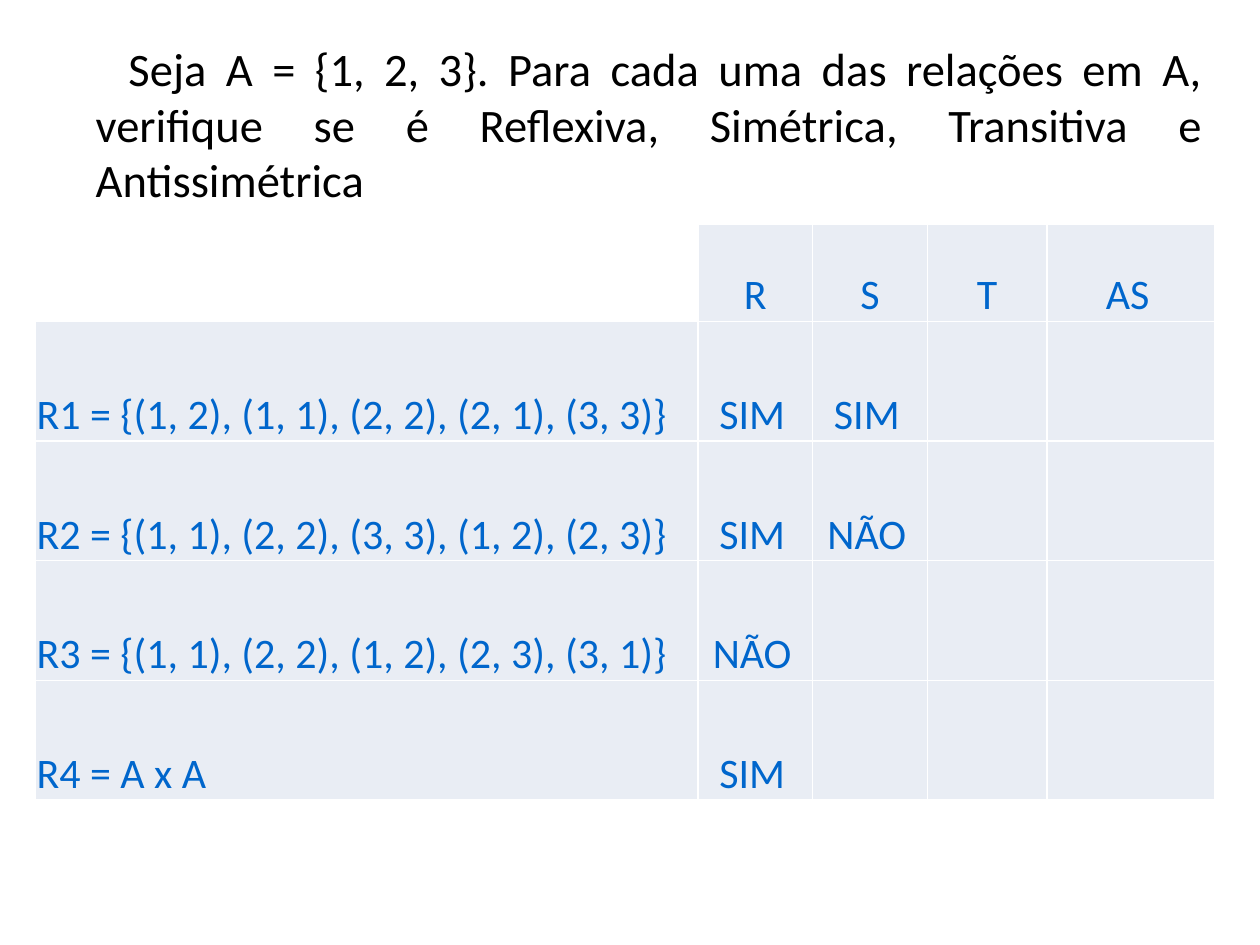
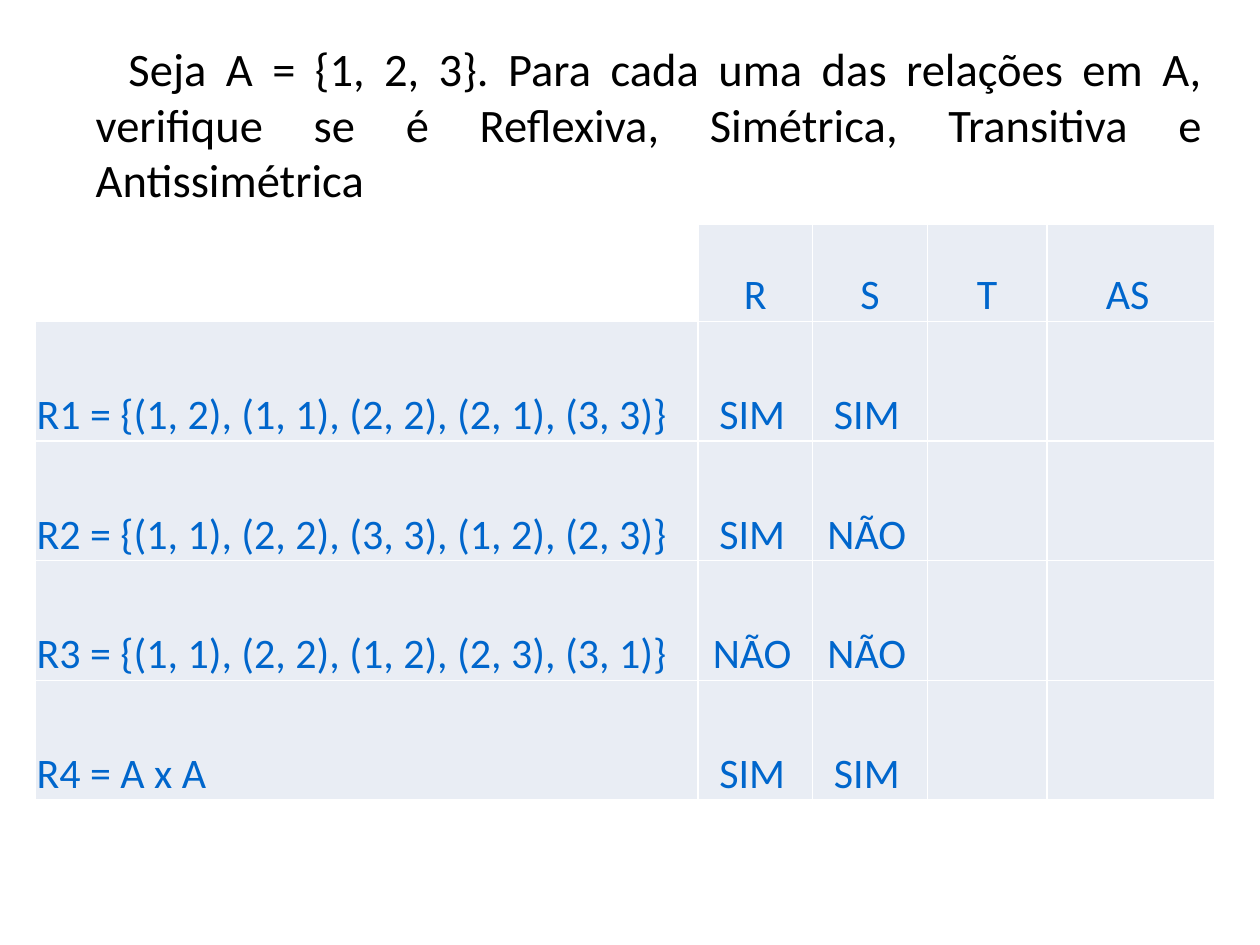
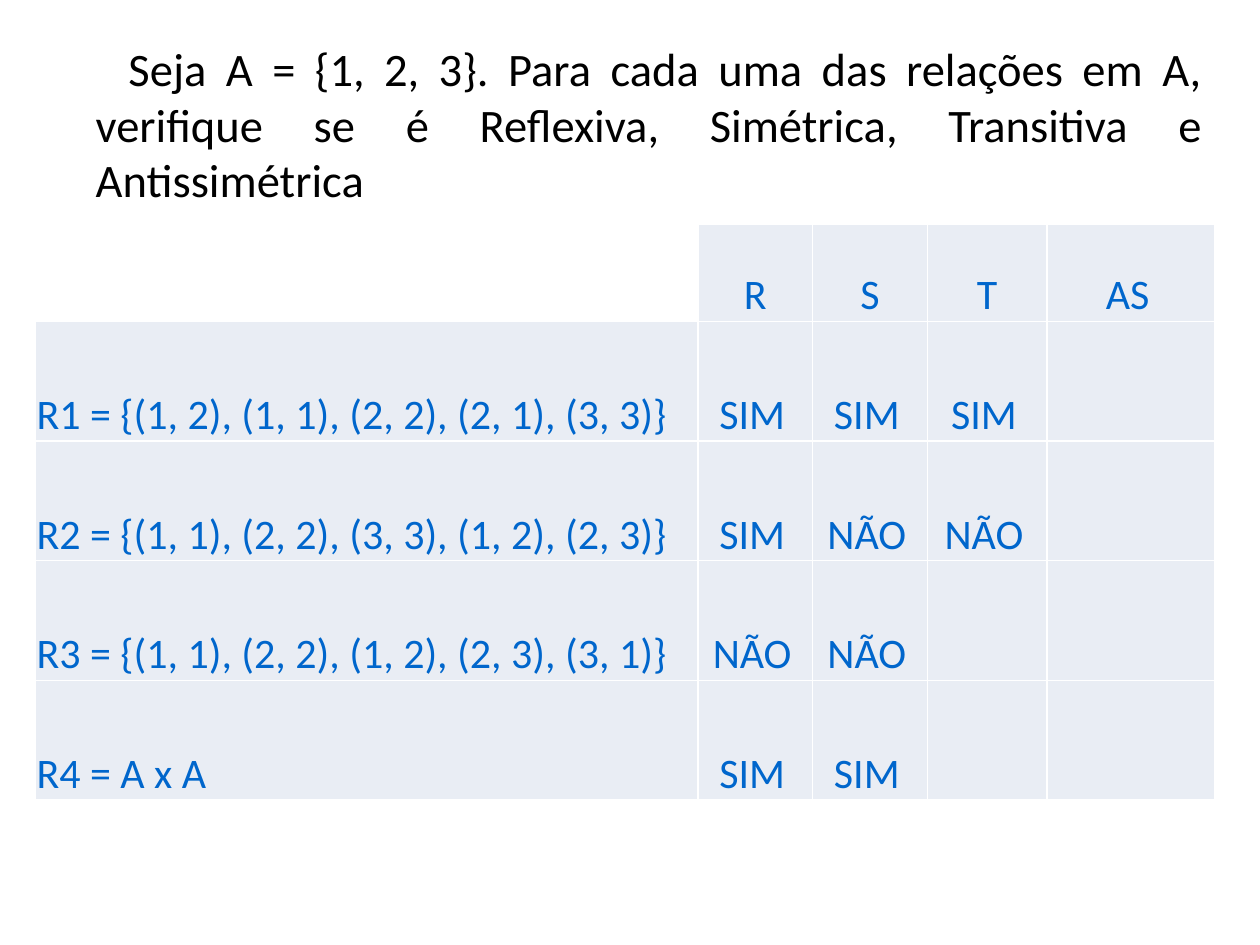
from lxml import etree
from pptx import Presentation
from pptx import util as u
from pptx.dml.color import RGBColor
from pptx.enum import text
from pptx.oxml.ns import qn

W, H = 10, 7.5
LEFT, WIDTH = 0.028 * W, 0.937 * W
STATEMENT_TOP, STATEMENT_HEIGHT = 0.03 * H, 0.2 * H
TABLE_TOP = 1.78
COLUMNS = [5.26, 0.91, 0.91, 0.95, 1.33]
ROWS = [0.77] + [0.95] * 4

COLORS = {"ink": "000000", "answer": "0066CC", "cell": "E9EDF4", "white": "FFFFFF"}
FONT = "Calibri"
STATEMENT = ("Seja A = {1, 2, 3}. Para cada uma das relações em A, verifique se é "
             "Reflexiva, Simétrica, Transitiva e Antissimétrica")
PROPERTIES = ["R", "S", "T", "AS"]
RELATIONS = [
    "R1 = {(1, 2), (1, 1), (2, 2), (2, 1), (3, 3)}",
    "R2 = {(1, 1), (2, 2), (3, 3), (1, 2), (2, 3)}",
    "R3 = {(1, 1), (2, 2), (1, 2), (2, 3), (3, 1)}",
    "R4 = A x A",
]
ANSWERS = ["SIM", "SIM", "NÃO", "SIM", "SIM", "NÃO", "NÃO", "SIM", "SIM", "NÃO"]
REVEALED = [6, 8, 10]


def rgb(name):
    return RGBColor.from_string(COLORS[name])


def set_attrs(obj, **values):
    for name, value in values.items():
        setattr(obj, name, value)


def write(p, content, size, color, align):
    p.alignment = align
    r = p.add_run()
    r.text = content
    set_attrs(r.font, name=FONT, size=u.Pt(size), bold=False)
    r.font.color.rgb = rgb(color)


def add_statement(s):
    sp = s.shapes.title
    set_attrs(sp, left=u.Inches(LEFT), top=u.Inches(STATEMENT_TOP),
              width=u.Inches(WIDTH), height=u.Inches(STATEMENT_HEIGHT))
    tf = sp.text_frame
    set_attrs(tf, word_wrap=True, auto_size=text.MSO_AUTO_SIZE.NONE,
              vertical_anchor=text.MSO_ANCHOR.TOP, margin_top=u.Inches(0.09))
    p = tf.paragraphs[0]
    write(p, STATEMENT, 26.6, "ink", text.PP_ALIGN.JUSTIFY)
    pPr = p._p.get_or_add_pPr()
    pPr.set("marL", str(u.Inches(0.38)))
    pPr.set("indent", str(u.Inches(0.26)))


def add_borders(cell):
    tcPr = cell._tc.get_or_add_tcPr()
    for side in ("lnL", "lnR", "lnT", "lnB"):
        ln = etree.SubElement(tcPr, qn("a:" + side), w=str(u.Pt(1)))
        fill = etree.SubElement(ln, qn("a:solidFill"))
        etree.SubElement(fill, qn("a:srgbClr"), val=COLORS["white"])


def format_cell(cell, content, fill, align):
    add_borders(cell)
    cell.fill.solid()
    cell.fill.fore_color.rgb = rgb(fill)
    nudge = 0.06 if align == text.PP_ALIGN.CENTER and len(content) > 1 else 0.01
    set_attrs(cell, vertical_anchor=text.MSO_ANCHOR.BOTTOM,
              margin_left=u.Inches(0.01), margin_right=u.Inches(nudge),
              margin_top=u.Inches(0.01), margin_bottom=0)
    if content:
        write(cell.text_frame.paragraphs[0], content, 24, "answer", align)


def table_rows(revealed):
    n = len(RELATIONS)
    shown = ANSWERS[:revealed] + [""] * (n * len(PROPERTIES) - revealed)
    return [[""] + PROPERTIES] + [[name] + shown[i::n] for i, name in enumerate(RELATIONS)]


def add_relations_table(s, revealed):
    table = s.shapes.add_table(
        len(ROWS), len(COLUMNS), u.Inches(LEFT), u.Inches(TABLE_TOP),
        u.Inches(sum(COLUMNS)), u.Inches(sum(ROWS))).table
    set_attrs(table, first_row=False, horz_banding=False)
    for column, width in zip(table.columns, COLUMNS):
        column.width = u.Inches(width)
    for row, height in zip(table.rows, ROWS):
        row.height = u.Inches(height)
    for i, row in enumerate(table_rows(revealed)):
        for j, content in enumerate(row):
            fill = "cell" if i or j else "white"
            align = text.PP_ALIGN.CENTER if j else text.PP_ALIGN.LEFT
            format_cell(table.cell(i, j), content, fill, align)


def main():
    prs = Presentation()
    set_attrs(prs, slide_width=u.Inches(W), slide_height=u.Inches(H))
    for revealed in REVEALED:
        s = prs.slides.add_slide(prs.slide_layouts[5])
        add_statement(s)
        add_relations_table(s, revealed)
    prs.save("out.pptx")


if __name__ == "__main__":
    main()
